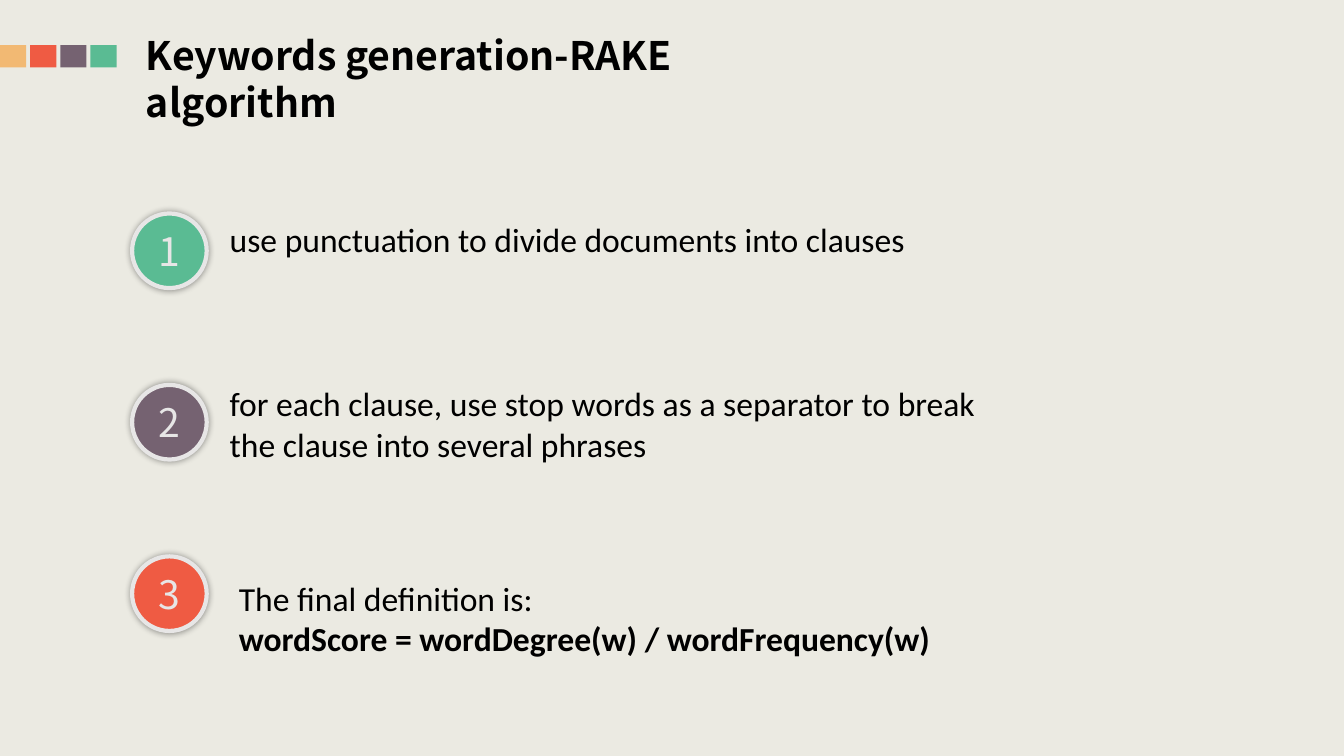
from lxml import etree
from pptx import Presentation
from pptx import util as u
from pptx.dml.color import RGBColor
from pptx.enum import shapes, text
from pptx.oxml import ns

CREAM = RGBColor(0xEB, 0xEA, 0xE2)
BLACK = RGBColor(0x00, 0x00, 0x00)
SILVER = RGBColor(0xE7, 0xE6, 0xE6)
GOLD = RGBColor(0xF2, 0xB9, 0x73)
RED = RGBColor(0xEF, 0x5B, 0x43)
PLUM = RGBColor(0x75, 0x62, 0x71)
GREEN = RGBColor(0x5A, 0xBB, 0x93)


class Deck:
    heading_font = "Noto Sans CJK SC"
    body_font = "Calibri"

    def __init__(self):
        self.prs = Presentation()
        self.prs.slide_width = u.Cm(33.87)
        self.prs.slide_height = u.Cm(19.05)
        self.slide = self.prs.slides.add_slide(self.prs.slide_layouts[6])
        background = self.slide.background.fill
        background.solid()
        background.fore_color.rgb = CREAM

    def style(self, paragraph, font, size, color, bold=False):
        for run in paragraph.runs:
            run.font.name = font
            run.font.size = u.Pt(size)
            run.font.color.rgb = color
            run.font.bold = bold

    def solid(self, preset, left, top, width, height, color):
        solid = self.slide.shapes.add_shape(
            preset, u.Cm(left), u.Cm(top), u.Cm(width), u.Cm(height))
        solid.shadow.inherit = False
        solid.fill.solid()
        solid.fill.fore_color.rgb = color
        solid.line.fill.background()
        return solid

    def square(self, left, color):
        self.solid(shapes.MSO_SHAPE.RECTANGLE, left, 1.14, 0.66, 0.56, color)

    def glow(self, badge):
        effects = badge._element.spPr.find(ns.qn("a:effectLst"))
        shadow = etree.SubElement(effects, ns.qn("a:outerShdw"),
                                  blurRad=str(u.Pt(5)), dist="0", dir="0")
        tint = etree.SubElement(shadow, ns.qn("a:srgbClr"), val="000000")
        etree.SubElement(tint, ns.qn("a:alpha"), val="40000")

    def badge(self, top, number, color):
        badge = self.solid(shapes.MSO_SHAPE.OVAL, 3.33, top, 1.88, 1.88, color)
        badge.line.color.rgb = SILVER
        badge.line.width = u.Pt(3)
        self.glow(badge)
        frame = badge.text_frame
        frame.text = str(number)
        frame.vertical_anchor = text.MSO_ANCHOR.MIDDLE
        digit = frame.paragraphs[0]
        digit.alignment = text.PP_ALIGN.CENTER
        digit.space_before = u.Pt(5.6)
        self.style(digit, self.heading_font, 28, SILVER)

    def textbox(self, left, top, width, height, wording):
        box = self.slide.shapes.add_textbox(
            u.Cm(left), u.Cm(top), u.Cm(width), u.Cm(height))
        frame = box.text_frame
        frame.word_wrap = True
        frame.text = wording
        return frame

    def title(self, wording):
        frame = self.textbox(3.68, 0.79, 17.3, 2.39, wording)
        frame.margin_left = frame.margin_right = 0
        frame.margin_top = frame.margin_bottom = 0
        self.style(frame.paragraphs[0], self.heading_font, 28, BLACK, True)

    def step(self, left, top, width, height, wording):
        frame = self.textbox(left, top, width, height, wording)
        for index, paragraph in enumerate(frame.paragraphs):
            self.style(paragraph, self.body_font, 24, BLACK, index > 0)


def main():
    deck = Deck()
    for index, color in enumerate((GOLD, RED, PLUM, GREEN)):
        deck.square(0.76 * index, color)
    deck.title("Keywords generation-RAKE algorithm")
    steps = (
        (GREEN, 5.54, 5.38, 18.92, 1.27,
         "use punctuation to divide documents into clauses"),
        (PLUM, 5.54, 9.53, 20.6, 2.31,
         "for each clause, use stop words as a separator to break "
         "the clause into several phrases"),
        (RED, 5.77, 14.43, 24.31, 2.31,
         "The final definition is:\n"
         "wordScore = wordDegree(w) / wordFrequency(w)"),
    )
    for index, (color, *place, wording) in enumerate(steps):
        deck.badge(5.38 + 4.32 * index, index + 1, color)
        deck.step(*place, wording)
    deck.prs.save("out.pptx")


if __name__ == "__main__":
    main()
